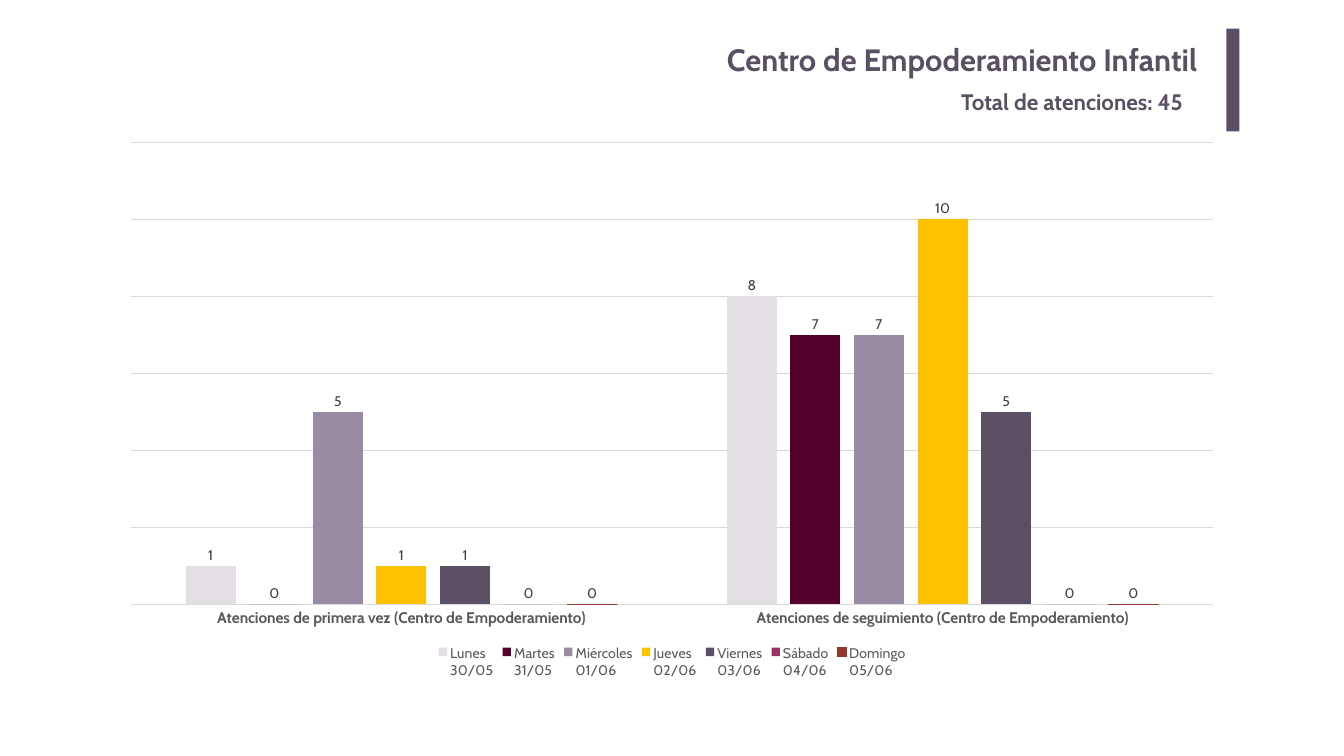
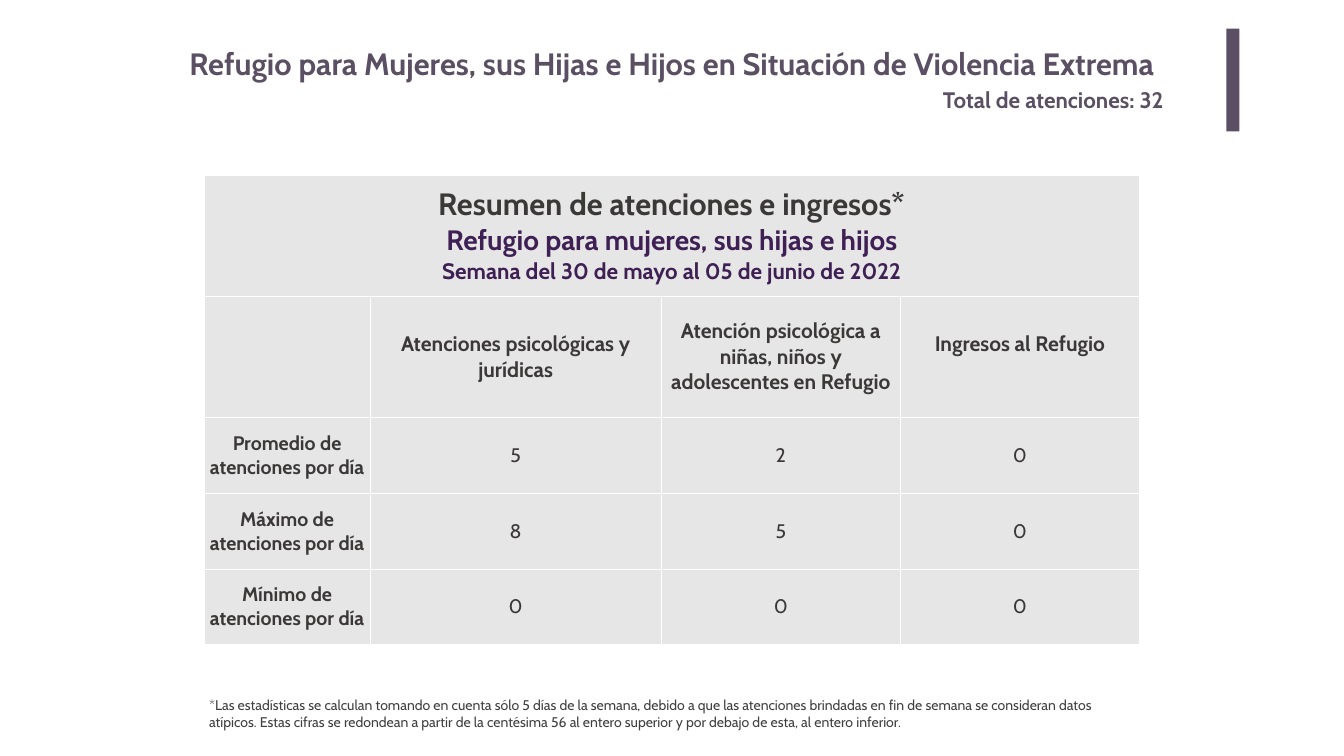
from lxml.etree import SubElement
from pptx import Presentation
from pptx.chart.data import CategoryChartData
from pptx.dml.color import RGBColor
from pptx.enum.chart import (
    XL_CHART_TYPE as ChartType,
    XL_LABEL_POSITION as LabelPosition,
    XL_LEGEND_POSITION as LegendPosition,
    XL_TICK_LABEL_POSITION as TickLabelPosition,
    XL_TICK_MARK as TickMark,
)
from pptx.enum.shapes import MSO_SHAPE as Shape
from pptx.enum.text import MSO_ANCHOR as Anchor, MSO_AUTO_SIZE as AutoSize, PP_ALIGN as Align
from pptx.oxml.ns import qn
from pptx.util import Pt

FONT = "Cabin"
PURPLE = RGBColor(0x5B, 0x4F, 0x63)
DEEP_PURPLE = RGBColor(0x3E, 0x20, 0x54)
CHARCOAL = RGBColor(0x3B, 0x38, 0x38)
DARK_GREY = RGBColor(0x40, 0x40, 0x40)
MID_GREY = RGBColor(0x59, 0x59, 0x59)
GRID_GREY = RGBColor(0xD9, 0xD9, 0xD9)
CELL_GREY = RGBColor(0xE7, 0xE6, 0xE6)
WHITE = RGBColor(0xFF, 0xFF, 0xFF)
BRICK = RGBColor(0x95, 0x37, 0x2B)

TITLE_ONLY = 5
BAR_BOX = (1751.8, 41, 18.7, 146.9)
CHART_BOX = (154.8, 187.9, 1610.6, 787)
TABLE_BOX = (291.6, 249.8, 1336.3, 671)
NOTE_BOX = (291.6, 991.4, 1336.3, 55.4)

CATEGORIES = [
    "Atenciones de primera vez (Centro de Empoderamiento)",
    "Atenciones de seguimiento (Centro de Empoderamiento)",
]
DAYS = [
    ("Lunes\n30/05", (1, 8), RGBColor(0xE3, 0xDF, 0xE5)),
    ("Martes\n31/05", (0, 7), RGBColor(0x54, 0x00, 0x2A)),
    ("Miércoles\n01/06", (5, 7), RGBColor(0x99, 0x8B, 0xA3)),
    ("Jueves\n02/06", (1, 10), RGBColor(0xFF, 0xC0, 0x00)),
    ("Viernes\n03/06", (1, 5), PURPLE),
    ("Sábado\n04/06", (0, 0), RGBColor(0x99, 0x33, 0x66)),
    ("Domingo\n05/06", (0, 0), BRICK),
]

COLUMN_WIDTHS = (236.9, 416.2, 341.6, 341.6)
ROW_HEIGHTS = (172.8, 174.2, 108, 108, 108)
TABLE_HEADING = [
    ("Resumen de atenciones e ingresos*", 44, CHARCOAL),
    ("Refugio para mujeres, sus hijas e hijos", 40, DEEP_PURPLE),
    ("Semana del 30 de mayo al 05 de junio de 2022", 32, DEEP_PURPLE),
]
COLUMN_HEADINGS = [
    "",
    "Atenciones psicológicas y jurídicas",
    "Atención psicológica a niñas, niños y adolescentes en Refugio",
    "Ingresos al Refugio",
]
SUMMARY_ROWS = [
    ("Promedio de atenciones por día", 5, 2, 0),
    ("Máximo de atenciones por día", 8, 5, 0),
    ("Mínimo de atenciones por día", 0, 0, 0),
]
FOOTNOTE = (
    "*Las estadísticas se calculan tomando en cuenta sólo 5 días de la semana, debido a que "
    "las atenciones brindadas en fin de semana se consideran datos atípicos. Estas cifras se "
    "redondean a partir de la centésima 56 al entero superior y por debajo de esta, al entero "
    "inferior."
)


def points(box):
    return [Pt(length) for length in box]


def set_format(target, values):
    for name, value in values.items():
        setattr(target, name, value)


def set_font(font, size, color, bold=False):
    set_format(font, {"name": FONT, "size": Pt(size), "bold": bold})
    font.color.rgb = color


def write_paragraph(paragraph, text, size, color, bold=False, alignment=Align.LEFT):
    paragraph.text = text
    paragraph.alignment = alignment
    set_font(paragraph.font, size, color, bold)


def add_text(slide, box, text, size, color, bold=False):
    frame = slide.shapes.add_textbox(*points(box)).text_frame
    frame.word_wrap = True
    write_paragraph(frame.paragraphs[0], text, size, color, bold)


def add_title(slide, text, box, alignment, inset):
    title = slide.shapes.title
    set_format(title, dict(zip(("left", "top", "width", "height"), points(box))))
    set_format(title.text_frame, {
        "auto_size": AutoSize.NONE,
        "word_wrap": True,
        "vertical_anchor": Anchor.MIDDLE,
        "margin_left": Pt(inset),
        "margin_right": Pt(inset),
    })
    write_paragraph(title.text_frame.paragraphs[0], text, 44, PURPLE, True, alignment)


def add_bar(slide):
    bar = slide.shapes.add_shape(Shape.RECTANGLE, *points(BAR_BOX))
    bar.shadow.inherit = False
    bar.fill.solid()
    bar.fill.fore_color.rgb = PURPLE
    bar.line.fill.background()


def set_line(line, color):
    line.color.rgb = color
    line.width = Pt(0.75)


def add_attention_chart(slide):
    data = CategoryChartData()
    data.categories = CATEGORIES
    for name, values, _ in DAYS:
        data.add_series(name, values)
    chart = slide.shapes.add_chart(ChartType.COLUMN_CLUSTERED, *points(CHART_BOX), data).chart
    chart.has_title = False
    set_font(chart.font, 10, RGBColor(0, 0, 0))

    plot = chart.plots[0]
    set_format(plot, {"gap_width": 219, "overlap": -27, "vary_by_categories": False})
    for series, (_, _, color) in zip(plot.series, DAYS):
        series.format.fill.solid()
        series.format.fill.fore_color.rgb = color
        set_format(series.data_labels, {"show_value": True, "position": LabelPosition.OUTSIDE_END})
        set_font(series.data_labels.font, 20, DARK_GREY)
    set_line(plot.series[-1].format.line, BRICK)

    category_axis = chart.category_axis
    set_format(category_axis, {
        "major_tick_mark": TickMark.NONE,
        "minor_tick_mark": TickMark.NONE,
        "tick_label_position": TickLabelPosition.LOW,
    })
    set_font(category_axis.tick_labels.font, 22, MID_GREY, True)
    set_line(category_axis.format.line, GRID_GREY)

    set_format(chart.value_axis, {
        "visible": False,
        "minimum_scale": 0,
        "maximum_scale": 12,
        "major_unit": 2,
        "has_major_gridlines": True,
    })
    set_line(chart.value_axis.major_gridlines.format.line, GRID_GREY)

    chart.has_legend = True
    set_format(chart.legend, {"position": LegendPosition.BOTTOM, "include_in_layout": False})
    set_font(chart.legend.font, 20, MID_GREY)


def format_cell(cell):
    set_format(cell, {
        "margin_left": 0,
        "margin_right": 0,
        "margin_top": 0,
        "margin_bottom": 0,
        "vertical_anchor": Anchor.MIDDLE,
    })
    properties = cell._tc.get_or_add_tcPr()
    for side in ("lnL", "lnR", "lnT", "lnB"):
        line = SubElement(properties, qn(f"a:{side}"), w=str(Pt(1)))
        SubElement(SubElement(line, qn("a:solidFill")), qn("a:srgbClr"), val=str(WHITE))
    cell.fill.solid()
    cell.fill.fore_color.rgb = CELL_GREY


def write_cell(cell, lines, bold=True):
    frame = cell.text_frame
    for index, (text, size, color) in enumerate(lines):
        paragraph = frame.add_paragraph() if index else frame.paragraphs[0]
        write_paragraph(paragraph, text, size, color, bold, Align.CENTER)


def add_summary_table(slide):
    table = slide.shapes.add_table(
        len(ROW_HEIGHTS), len(COLUMN_WIDTHS), *points(TABLE_BOX)
    ).table
    set_format(table, {"first_row": False, "horz_banding": False})
    for column, width in zip(table.columns, COLUMN_WIDTHS):
        column.width = Pt(width)
    for row, height in zip(table.rows, ROW_HEIGHTS):
        row.height = Pt(height)
    for cell in table.iter_cells():
        format_cell(cell)

    table.cell(0, 0).merge(table.cell(0, len(COLUMN_WIDTHS) - 1))
    write_cell(table.cell(0, 0), TABLE_HEADING)
    for column, heading in enumerate(COLUMN_HEADINGS):
        write_cell(table.cell(1, column), [(heading, 30, CHARCOAL)])
    table.cell(1, 3).margin_bottom = Pt(37)
    for row, values in enumerate(SUMMARY_ROWS, start=2):
        for column, value in enumerate(values):
            write_cell(table.cell(row, column), [(str(value), 28, CHARCOAL)], bold=column == 0)


def add_slide(presentation, title, title_box, alignment, inset, total, total_box):
    slide = presentation.slides.add_slide(presentation.slide_layouts[TITLE_ONLY])
    add_title(slide, title, title_box, alignment, inset)
    add_bar(slide)
    add_text(slide, total_box, f"Total de atenciones: {total}", 32, PURPLE, True)
    return slide


def main():
    presentation = Presentation()
    set_format(presentation, {"slide_width": Pt(1920), "slide_height": Pt(1080)})

    center_slide = add_slide(
        presentation, "Centro de Empoderamiento Infantil",
        (263.5, 48.2, 1461.6, 73.4), Align.RIGHT, 14.4,
        45, (1365.8, 121.7, 363.6, 46),
    )
    add_attention_chart(center_slide)

    refuge_slide = add_slide(
        presentation, "Refugio para Mujeres, sus Hijas e Hijos en Situación de Violencia Extrema",
        (263.5, 60.5, 1492.6, 60.5), Align.LEFT, 7.2,
        32, (1339.9, 118.8, 385.2, 46),
    )
    add_summary_table(refuge_slide)
    add_text(refuge_slide, NOTE_BOX, FOOTNOTE, 20, DARK_GREY)

    presentation.save("out.pptx")


if __name__ == "__main__":
    main()
